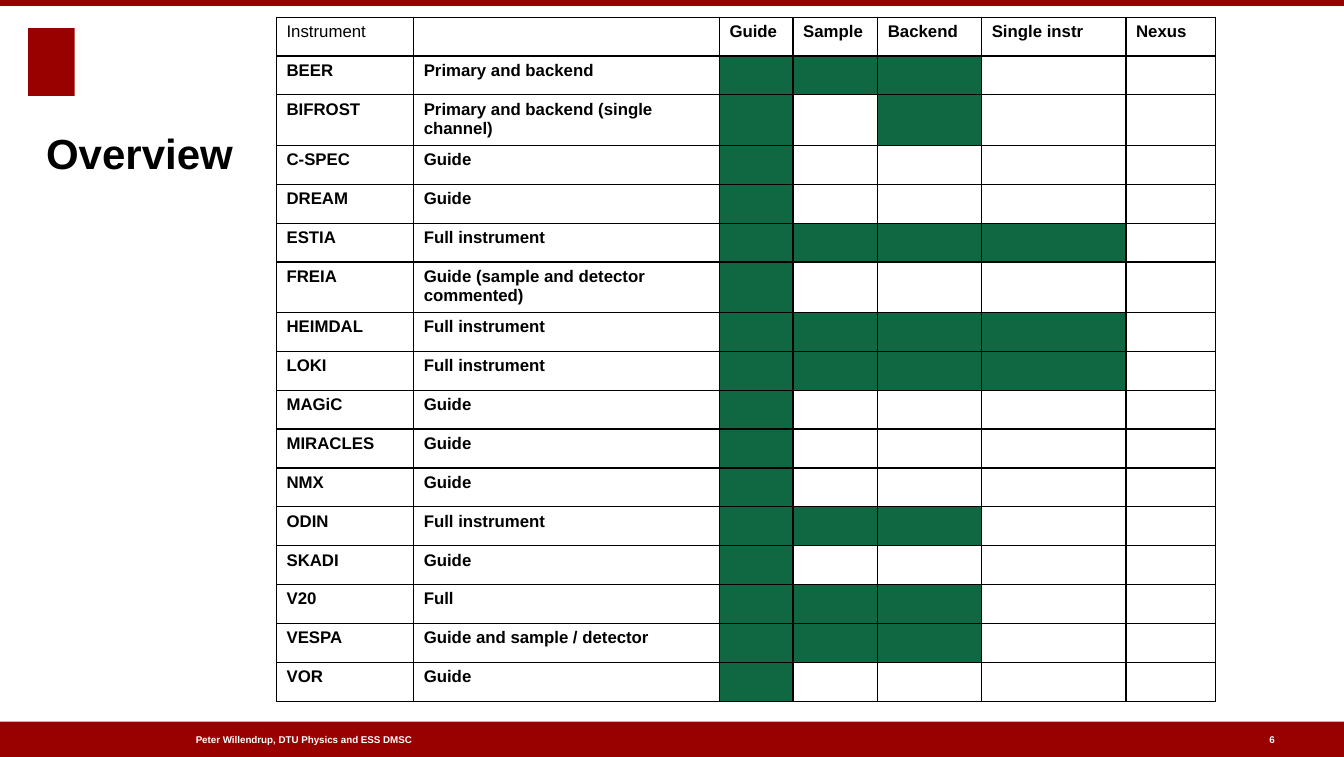
from collections import namedtuple
from dataclasses import dataclass

from lxml import etree
from pptx import Presentation
from pptx.dml.color import RGBColor
from pptx.enum.shapes import MSO_SHAPE
from pptx.enum.text import MSO_ANCHOR, MSO_AUTO_SIZE, PP_ALIGN
from pptx.oxml.ns import qn
from pptx.util import Inches, Pt

RECT = MSO_SHAPE.RECTANGLE
MIDDLE, BOTTOM = MSO_ANCHOR.MIDDLE, MSO_ANCHOR.BOTTOM
RIGHT = PP_ALIGN.RIGHT
NO_AUTOFIT = MSO_AUTO_SIZE.NONE
TITLE_ONLY = 5

Box = namedtuple("Box", "x y w h")


@dataclass(frozen=True)
class Theme:
    font: str = "Arial"
    brand: str = "990000"
    done: str = "0F6841"
    paper: str = "FFFFFF"
    ink: str = "000000"
    title_size: int = 30
    table_size: int = 12
    footer_size: int = 7
    border: int = 1


THEME = Theme()
W, H = 13.32, 7.5
TOP_BAND = Box(0, 0, W, 0.06)
FOOTER = Box(0, 7.15, W, 0.35)
LOGO = Box(0.28, 0.28, 0.46, 0.67)
TITLE = Box(0, 0.7, 2.31, 1.06)
TABLE = Box(2.74, 0.17, 9.31, 6.78)

COLUMNS = [1.36, 3.03, 0.73, 0.84, 1.03, 1.43, 0.89]
HEADER = ["Instrument", "", "Guide", "Sample", "Backend", "Single instr", "Nexus"]
TALL_ROW = 0.5
TALL = {"BIFROST", "FREIA"}
# Instrument, status, and the stages that are done
G, GB, GSB, ALL = (
    {"Guide"}, {"Guide", "Backend"}, {"Guide", "Sample", "Backend"},
    {"Guide", "Sample", "Backend", "Single instr"})
INSTRUMENTS = [
    ("BEER", "Primary and backend", GSB),
    ("BIFROST", "Primary and backend (single channel)", GB),
    ("C-SPEC", "Guide", G),
    ("DREAM", "Guide", G),
    ("ESTIA", "Full instrument", ALL),
    ("FREIA", "Guide (sample and detector commented)", G),
    ("HEIMDAL", "Full instrument", ALL),
    ("LOKI", "Full instrument", ALL),
    ("MAGiC", "Guide", G),
    ("MIRACLES", "Guide", G),
    ("NMX", "Guide", G),
    ("ODIN", "Full instrument", GSB),
    ("SKADI", "Guide", G),
    ("V20", "Full", GSB),
    ("VESPA", "Guide and sample / detector", GSB),
    ("VOR", "Guide", G),
]


def inches(box):
    return [Inches(v) for v in box]


def style(p, size, color, bold=True):
    p.font.name, p.font.size, p.font.bold = THEME.font, Pt(size), bold
    p.font.color.rgb = RGBColor.from_string(color)


def add_block(s, box):
    sp = s.shapes.add_shape(RECT, *inches(box))
    sp.shadow.inherit = False
    sp.fill.solid()
    sp.fill.fore_color.rgb = RGBColor.from_string(THEME.brand)
    sp.line.fill.background()


def clear_margins(tf):
    tf.margin_left = tf.margin_top = tf.margin_right = tf.margin_bottom = 0


def add_footer(s, box):
    add_block(s, box)
    # Author line and slide number, centred on the band
    h = 0.4 * box.h
    y = box.y + (box.h - h) / 2
    for text, x, w in (("Peter Willendrup, DTU Physics and ESS DMSC", 1.94, 3.72),
                       ("6", 12.58, 0.14)):
        tf = s.shapes.add_textbox(*inches((box.x + x, y, w, h))).text_frame
        tf.word_wrap = True
        tf.vertical_anchor = MIDDLE
        clear_margins(tf)
        tf.text = text
        style(tf.paragraphs[0], THEME.footer_size, THEME.paper)


def add_title(s, box, text):
    sp = s.shapes.title
    sp.left, sp.top, sp.width, sp.height = inches(box)
    tf = sp.text_frame
    tf.auto_size = NO_AUTOFIT
    tf.vertical_anchor = BOTTOM
    clear_margins(tf)
    tf.text = text
    p = tf.paragraphs[0]
    p.alignment = RIGHT
    style(p, THEME.title_size, THEME.ink)


def fill_cell(cell, text, color, bold):
    # Borders precede the fill in the cell properties
    props = cell._tc.get_or_add_tcPr()
    for side in ("lnL", "lnR", "lnT", "lnB"):
        ln = etree.SubElement(props, qn("a:" + side), w=str(Pt(THEME.border)))
        solid = etree.SubElement(ln, qn("a:solidFill"))
        etree.SubElement(solid, qn("a:srgbClr"), val=THEME.ink)
    cell.fill.solid()
    cell.fill.fore_color.rgb = RGBColor.from_string(color)
    if text:
        cell.text = text
    p = cell.text_frame.paragraphs[0]
    style(p, THEME.table_size, THEME.ink, bold)
    if not text:
        # Keeps an empty cell from stretching its row
        p._p.get_or_add_endParaRPr().set("sz", str(THEME.table_size * 100))


def add_status_table(s, box):
    rows = len(INSTRUMENTS) + 1
    table = s.shapes.add_table(rows, len(COLUMNS), *inches(box)).table
    table.first_row = table.horz_banding = False
    for col, width in zip(table.columns, COLUMNS):
        col.width = Inches(width)
    row_height = (box.h - TALL_ROW * len(TALL)) / (rows - len(TALL))
    # Header row
    table.rows[0].height = Inches(row_height)
    for c, label in enumerate(HEADER):
        fill_cell(table.cell(0, c), label, THEME.paper, c > 0)
    # One row per instrument
    for r, (name, status, stages) in enumerate(INSTRUMENTS, 1):
        table.rows[r].height = Inches(TALL_ROW if name in TALL else row_height)
        for c, stage in enumerate(HEADER):
            text = (name, status)[c] if c < 2 else ""
            color = THEME.done if stage in stages else THEME.paper
            fill_cell(table.cell(r, c), text, color, True)


def main():
    prs = Presentation()
    prs.slide_width, prs.slide_height = Inches(W), Inches(H)
    s = prs.slides.add_slide(prs.slide_layouts[TITLE_ONLY])
    add_block(s, LOGO)
    add_block(s, TOP_BAND)
    add_footer(s, FOOTER)
    add_status_table(s, TABLE)
    add_title(s, TITLE, "Overview")
    prs.save("out.pptx")


if __name__ == "__main__":
    main()
